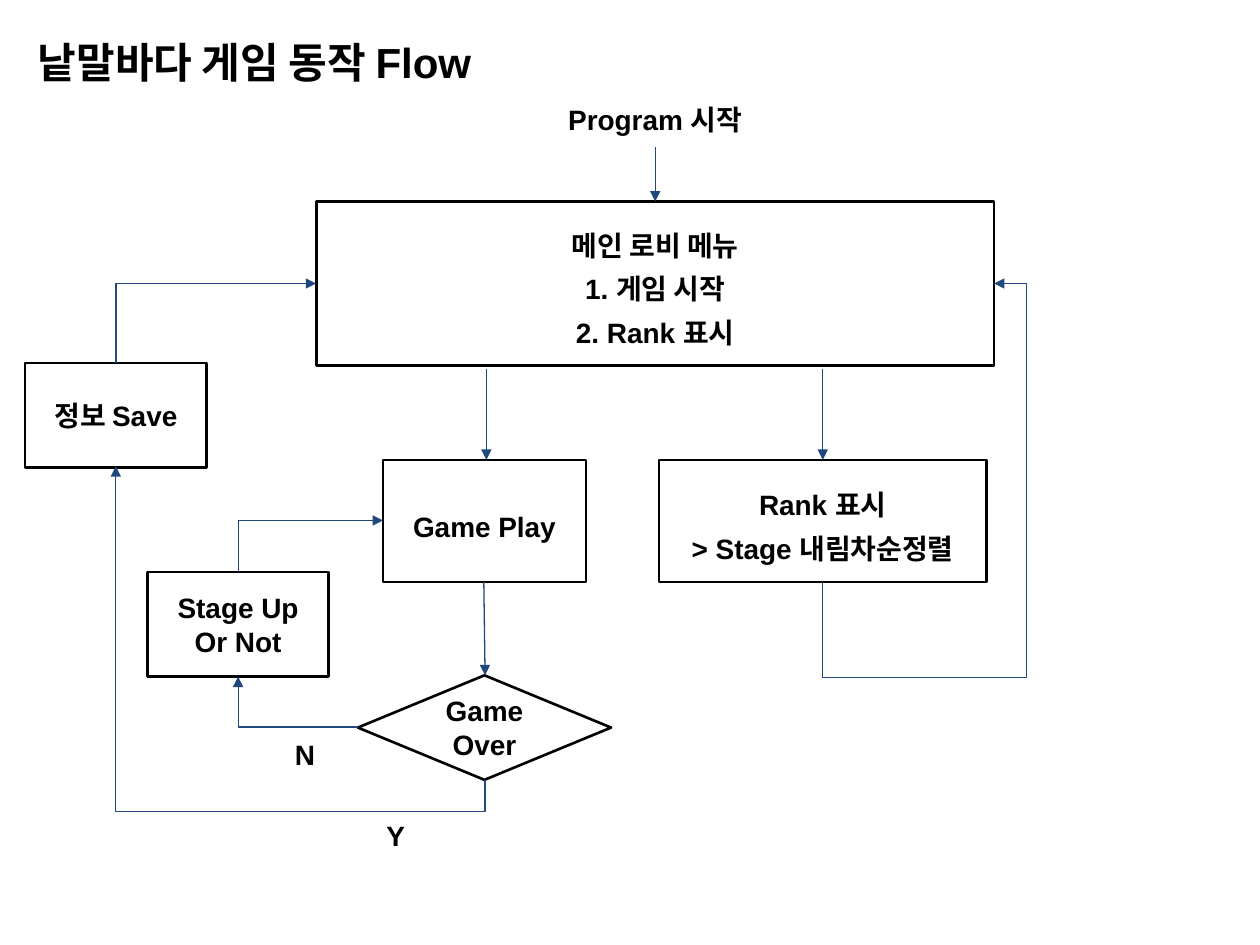
"""Build the game flow chart slide."""
from lxml import etree
from pptx import Presentation, util as u
from pptx.dml.color import RGBColor
from pptx.enum import shapes, text
from pptx.oxml import ns

BLACK = RGBColor(0x00, 0x00, 0x00)
NAVY = RGBColor(0x1F, 0x49, 0x7D)
FONT = "Arial"
RECT = shapes.MSO_SHAPE.RECTANGLE
DIAMOND = shapes.MSO_SHAPE.DIAMOND

TITLE = "낱말바다 게임 동작 Flow"
TITLE_PLACE = (0.2, 0.12, 5.68, 0.63)
WIDE = dict(spacing=1.3, inset=0.05)

NODES = [
    ("메인 로비 메뉴\n1. 게임 시작\n2. Rank 표시", RECT, (2.51, 1.6, 5.38, 1.3), WIDE),
    ("Game Play", RECT, (3.04, 3.65, 1.61, 0.97), WIDE),
    ("Rank 표시\v> Stage 내림차순정렬", RECT, (5.23, 3.65, 2.6, 0.97), WIDE),
    ("Game Over", DIAMOND, (2.84, 5.36, 2.01, 0.83), {}),
    ("Stage Up\vOr Not", RECT, (1.17, 4.54, 1.44, 0.83), {}),
    ("정보 Save", RECT, (0.2, 2.88, 1.44, 0.83), {}),
]
LABELS = [
    ("Program 시작", (4.26, 0.73, 1.88, 0.44)),
    ("Y", (2.77, 6.41, 0.74, 0.44)),
    ("N", (2.05, 5.77, 0.74, 0.44)),
]
STRAIGHT_ARROWS = [
    ((5.2, 1.17), (5.2, 1.6)),
    ((3.86, 2.93), (3.86, 3.65)),
    ((6.53, 2.93), (6.53, 3.65)),
    ((3.84, 4.62), (3.85, 5.36)),
]
BENT_ARROWS = [
    ((6.53, 4.62), (7.89, 2.25), 270, False, (-0.32, 1.19)),
    ((2.84, 5.77), (1.89, 5.37), 180, False, ()),
    ((1.89, 4.54), (3.04, 4.13), 270, False, ()),
    ((0.92, 2.88), (2.51, 2.25), 270, False, ()),
    ((3.85, 6.19), (0.92, 3.7), 90, True, (-0.1,)),
]


def inches(lengths):
    return [u.Inches(length) for length in lengths]


def write(shape, words, size=16, align=text.PP_ALIGN.CENTER,
          anchor=text.MSO_ANCHOR.MIDDLE, spacing=None, inset=0.1):
    """Fill a shape with bold text in the slide's font."""
    frame = shape.text_frame
    frame.text = words
    frame.word_wrap = True
    frame.auto_size = text.MSO_AUTO_SIZE.NONE
    frame.vertical_anchor = anchor
    frame.margin_left = frame.margin_right = u.Inches(0.1)
    frame.margin_top = frame.margin_bottom = u.Inches(inset)
    for para in frame.paragraphs:
        para.alignment = align
        if spacing:
            para.line_spacing = spacing
        for span in para.runs:
            span.font.name = FONT
            span.font.size = u.Pt(size)
            span.font.bold = True
            span.font.color.rgb = BLACK


def add_arrow(page, start, end, kind=shapes.MSO_CONNECTOR.STRAIGHT):
    """Add a thin connector with a triangle at its end."""
    arrow = page.shapes.add_connector(kind, *inches(start + end))
    arrow.line.color.rgb = NAVY
    arrow.line.width = u.Pt(0.75)
    line = arrow.line._get_or_add_ln()
    etree.SubElement(line, ns.qn("a:tailEnd"), type="triangle")
    etree.SubElement(arrow._element.spPr, ns.qn("a:effectLst"))
    return arrow


def add_bent_arrow(page, start, end, turn, flip, adjustments):
    """Add an elbow whose frame is turned about the middle of its ends."""
    width, height = (abs(b - a) for a, b in zip(start, end))
    if turn % 180:
        width, height = height, width
    left = (start[0] + end[0] - width) / 2
    top = (start[1] + end[1] - height) / 2
    arrow = add_arrow(page, (left, top), (left + width, top + height),
                      shapes.MSO_CONNECTOR.ELBOW)
    frame = arrow._element.spPr.find(ns.qn("a:xfrm"))
    frame.set("rot", str(turn * 60000))
    if flip:
        frame.set("flipH", "1")
    outline = arrow._element.spPr.find(ns.qn("a:prstGeom"))
    outline.set("prst", f"bentConnector{2 + len(adjustments)}")
    guides = outline.find(ns.qn("a:avLst"))
    for number, share in enumerate(adjustments, 1):
        etree.SubElement(guides, ns.qn("a:gd"), name=f"adj{number}",
                         fmla=f"val {round(share * 100000)}")


deck = Presentation()
deck.slide_width, deck.slide_height = inches((10, 7.5))
page = deck.slides.add_slide(deck.slide_layouts[5])

title = page.shapes.title
title.left, title.top, title.width, title.height = inches(TITLE_PLACE)
write(title, TITLE, size=24, align=text.PP_ALIGN.LEFT,
      anchor=text.MSO_ANCHOR.TOP, **WIDE)

for words, kind, place, style in NODES:
    box = page.shapes.add_shape(kind, *inches(place))
    box.shadow.inherit = False
    box.fill.background()
    box.line.color.rgb = BLACK
    box.line.width = u.Pt(1.5)
    write(box, words, **style)

for words, place in LABELS:
    write(page.shapes.add_textbox(*inches(place)), words)

for start, end in STRAIGHT_ARROWS:
    add_arrow(page, start, end)

for route in BENT_ARROWS:
    add_bent_arrow(page, *route)

deck.save("out.pptx")
